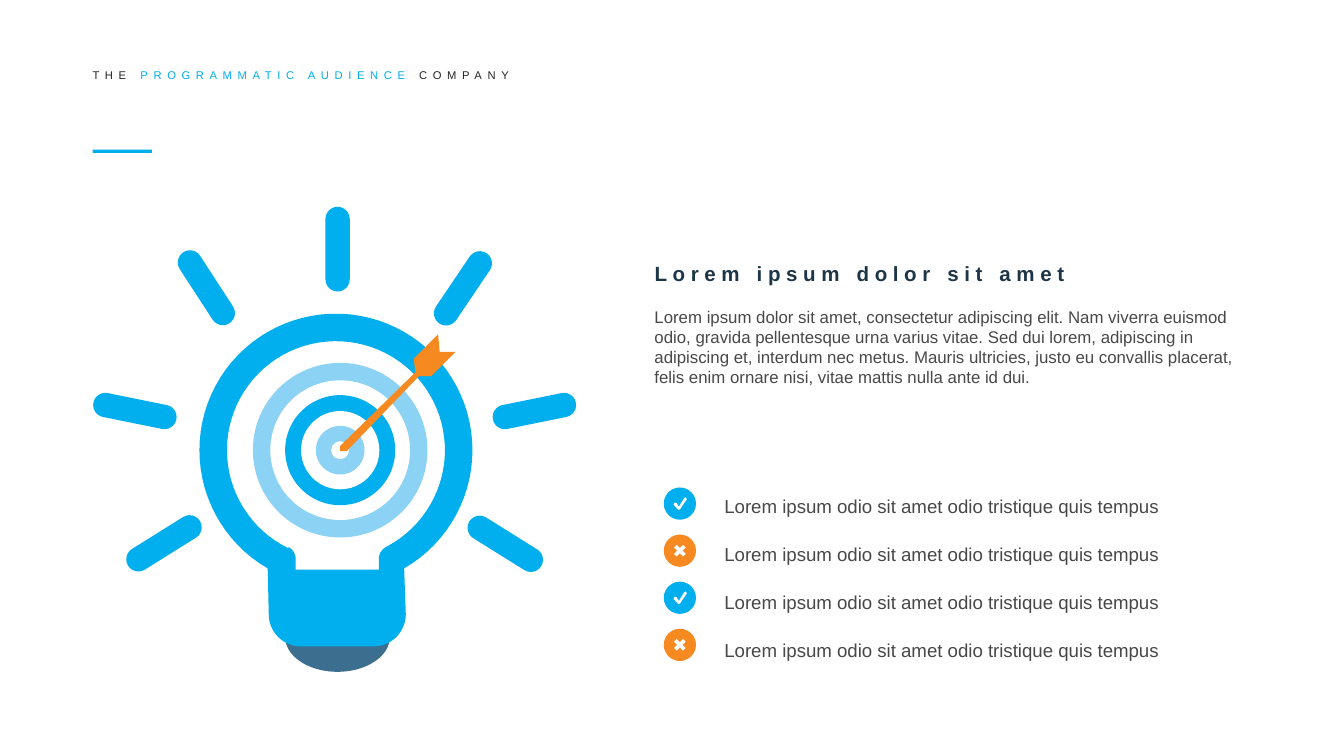
import dataclasses
import math
import typing

import pptx
import pptx.dml.color
import pptx.enum.shapes
import pptx.enum.text
import pptx.oxml.ns
import pptx.shapes.autoshape
import pptx.util
from lxml import etree

Cm = pptx.util.Cm
Pt = pptx.util.Pt
Kind = pptx.enum.shapes.MSO_SHAPE
Anchor = pptx.enum.text.MSO_ANCHOR
Shape = pptx.shapes.autoshape.Shape
Point = tuple[float, float]

HUES = {
    "blue": "01AEEE", "pale": "8BD2F4", "steel": "3B6E8F", "orange": "F6891F",
    "white": "FFFFFF", "navy": "1D3647", "grey": "484848", "black": "242424",
}
INTRO = (
    "Lorem ipsum dolor sit amet, consectetur adipiscing elit. Nam viverra euismod "
    "odio, gravida pellentesque urna varius vitae. Sed dui lorem, adipiscing in "
    "adipiscing et, interdum nec metus. Mauris ultricies, justo eu convallis placerat, "
    "felis enim ornare nisi, vitae mattis nulla ante id dui."
)
ITEM = "Lorem ipsum odio sit amet odio tristique quis tempus"


@dataclasses.dataclass
class Ray:
    x: float
    y: float
    turn: float


@dataclasses.dataclass
class Ring:
    size: float
    hue: str


@dataclasses.dataclass
class Badge:
    hue: str
    mark: list[Point]


RAYS = [
    Ray(6.38, 4.71, 90), Ray(8.75, 5.45, -56), Ray(10.1, 7.77, -11.5),
    Ray(9.55, 10.28, 32), Ray(3.1, 10.27, -32), Ray(2.55, 7.77, 11.5),
    Ray(3.9, 5.44, 57),
]
RINGS = [
    Ring(3.3, "pale"), Ring(2.64, "white"), Ring(2.08, "blue"),
    Ring(1.48, "white"), Ring(0.92, "pale"), Ring(0.34, "white"),
]
ARROW = [
    (7.92, 7.11), (8.15, 7.11), (8.61, 6.65), (8.31, 6.65), (8.28, 6.32),
    (7.82, 6.78), (7.85, 7.04), (6.43, 8.43), (6.43, 8.53), (6.55, 8.53),
]
TICK = [
    (-0.12, 0.02), (-0.1, -0.02), (-0.06, -0.01), (-0.02, 0.06), (0.08, -0.1),
    (0.11, -0.12), (0.13, -0.08), (0.01, 0.1), (-0.02, 0.12), (-0.05, 0.1),
]
ARM = [(0.05, 0), (0.11, 0.06), (0.06, 0.11)]
CROSS = [
    point
    for a, b, c, d in [(1, 0, 0, 1), (0, -1, 1, 0), (-1, 0, 0, -1), (0, 1, -1, 0)]
    for point in [(a * x + b * y, c * x + d * y) for x, y in ARM]
]
BADGES = [Badge("blue", TICK), Badge("orange", CROSS)] * 2
PITCH = 0.89


def paint(shape: Shape, hue: str) -> None:
    shape.shadow.inherit = False
    shape.fill.solid()
    shape.fill.fore_color.rgb = pptx.dml.color.RGBColor.from_string(HUES[hue])
    shape.line.fill.background()


def block(slide, kind, x: float, y: float, wide: float, high: float, hue: str) -> Shape:
    """Add a filled preset shape centred on x, y."""
    shape = slide.shapes.add_shape(
        kind, Cm(x - wide / 2), Cm(y - high / 2), Cm(wide), Cm(high))
    paint(shape, hue)
    return shape


def arc(x: float, y: float, wide: float, high: float, start: float, end: float) -> list[Point]:
    """Points along an ellipse; angles in degrees, clockwise from the right."""
    steps = max(4, round(abs(end - start) / 4))
    turns = [math.radians(start + (end - start) * i / steps) for i in range(steps + 1)]
    return [(x + wide * math.cos(t), y + high * math.sin(t)) for t in turns]


def outline(slide, hue: str, *loops: list[Point]) -> None:
    """Draw closed loops as one shape; a second loop cuts a hole."""
    paths = [[(Cm(x), Cm(y)) for x, y in loop] for loop in loops]
    pen = slide.shapes.build_freeform(*paths[0][0])
    for path in paths:
        pen.move_to(*path[0])
        pen.add_line_segments(path[1:], close=True)
    paint(pen.convert_to_shape(), hue)


def write(para, text: str, hue: str, size: float, bold: bool = False, gap: int = 0) -> None:
    """Add a run; gap is the letter spacing in points."""
    run = para.add_run()
    run.text = text
    for key, value in {"name": "Arial", "size": Pt(size), "bold": bold}.items():
        setattr(run.font, key, value)
    run.font.color.rgb = pptx.dml.color.RGBColor.from_string(HUES[hue])
    if gap:
        run.font._element.set("spc", str(gap * 100))


def place(box, x: float, y: float, wide: float, high: float, **extra: typing.Any):
    """Set a box's place and frame, and return its text frame."""
    spot = {"left": Cm(x), "top": Cm(y), "width": Cm(wide), "height": Cm(high)}
    for key, value in spot.items():
        setattr(box, key, value)
    frame = box.text_frame
    form = {
        "margin_left": 0, "margin_top": 0, "margin_right": 0, "margin_bottom": 0,
        "word_wrap": True, "vertical_anchor": Anchor.TOP,
        "auto_size": pptx.enum.text.MSO_AUTO_SIZE.NONE,
    }
    for key, value in (form | extra).items():
        setattr(frame, key, value)
    frame.paragraphs[0].alignment = pptx.enum.text.PP_ALIGN.LEFT
    return frame


def bulb(slide) -> None:
    outline(slide, "steel", arc(6.38, 12.04, 0.99, 0.66, 0, 180))
    for ray in RAYS:
        bar = block(slide, Kind.ROUNDED_RECTANGLE, ray.x, ray.y, 1.6, 0.46, "blue")
        bar.adjustments[0] = 0.5
        bar.rotation = ray.turn
    shell = (
        arc(6.35, 8.51, 2.58, 2.58, 120, 420)
        + arc(7.06, 11.61, 0.61, 0.61, 0, 90)
        + arc(5.69, 11.61, 0.61, 0.61, 90, 180)
    )
    glass = (
        arc(6.35, 8.51, 2.06, 2.06, 116, 422)
        + arc(7.42, 10.57, 0.26, 0.26, 247, 180)
        + [(7.16, 10.77), (5.59, 10.77)]
        + arc(5.33, 10.57, 0.26, 0.26, 0, -60)
    )
    outline(slide, "blue", shell, glass)
    for ring in RINGS:
        block(slide, Kind.OVAL, 6.43, 8.51, ring.size, ring.size, ring.hue)
    outline(slide, "orange", ARROW)


def points(slide) -> None:
    """Fill the list and draw a badge beside each item."""
    frame = place(slide.placeholders[1], 13.69, 9.35, 9, 3.4)
    form = {"line_spacing": 1.0, "space_before": Pt(0), "space_after": Pt(13.7)}
    for i, badge in enumerate(BADGES):
        para = frame.add_paragraph() if i else frame.paragraphs[0]
        props = para._p.get_or_add_pPr()
        props.set("marL", "0")
        props.set("indent", "0")
        etree.SubElement(props, pptx.oxml.ns.qn("a:buNone"))
        for key, value in form.items():
            setattr(para, key, value)
        write(para, ITEM, "grey", 10)
        x, y = 12.85, 9.52 + i * PITCH
        block(slide, Kind.OVAL, x, y, 0.61, 0.61, badge.hue)
        outline(slide, "white", [(x + dx, y + dy) for dx, dy in badge.mark])


def main() -> None:
    deck = pptx.Presentation()
    deck.slide_width, deck.slide_height = Cm(25.4), Cm(14.29)
    slide = deck.slides.add_slide(deck.slide_layouts[1])

    block(slide, Kind.RECTANGLE, 2.31, 2.86, 1.12, 0.06, "blue")
    bulb(slide)

    title = place(slide.shapes.title, 12.37, 4.93, 7.9, 0.48, word_wrap=False)
    write(title.paragraphs[0], "Lorem ipsum dolor sit amet", "navy", 11, True, 3)
    intro = place(slide.shapes.add_textbox(0, 0, 0, 0), 12.37, 5.79, 11.28, 1.55)
    write(intro.paragraphs[0], INTRO, "grey", 9)
    points(slide)

    motto = place(slide.shapes.add_textbox(0, 0, 0, 0), 1.75, 1.3, 18.21, 0.25,
                  vertical_anchor=Anchor.MIDDLE)
    for text, hue in [("THE ", "black"), ("PROGRAMMATIC AUDIENCE ", "blue"),
                      ("COMPANY", "black")]:
        write(motto.paragraphs[0], text, hue, 6, gap=3)

    deck.save("out.pptx")


if __name__ == "__main__":
    main()
